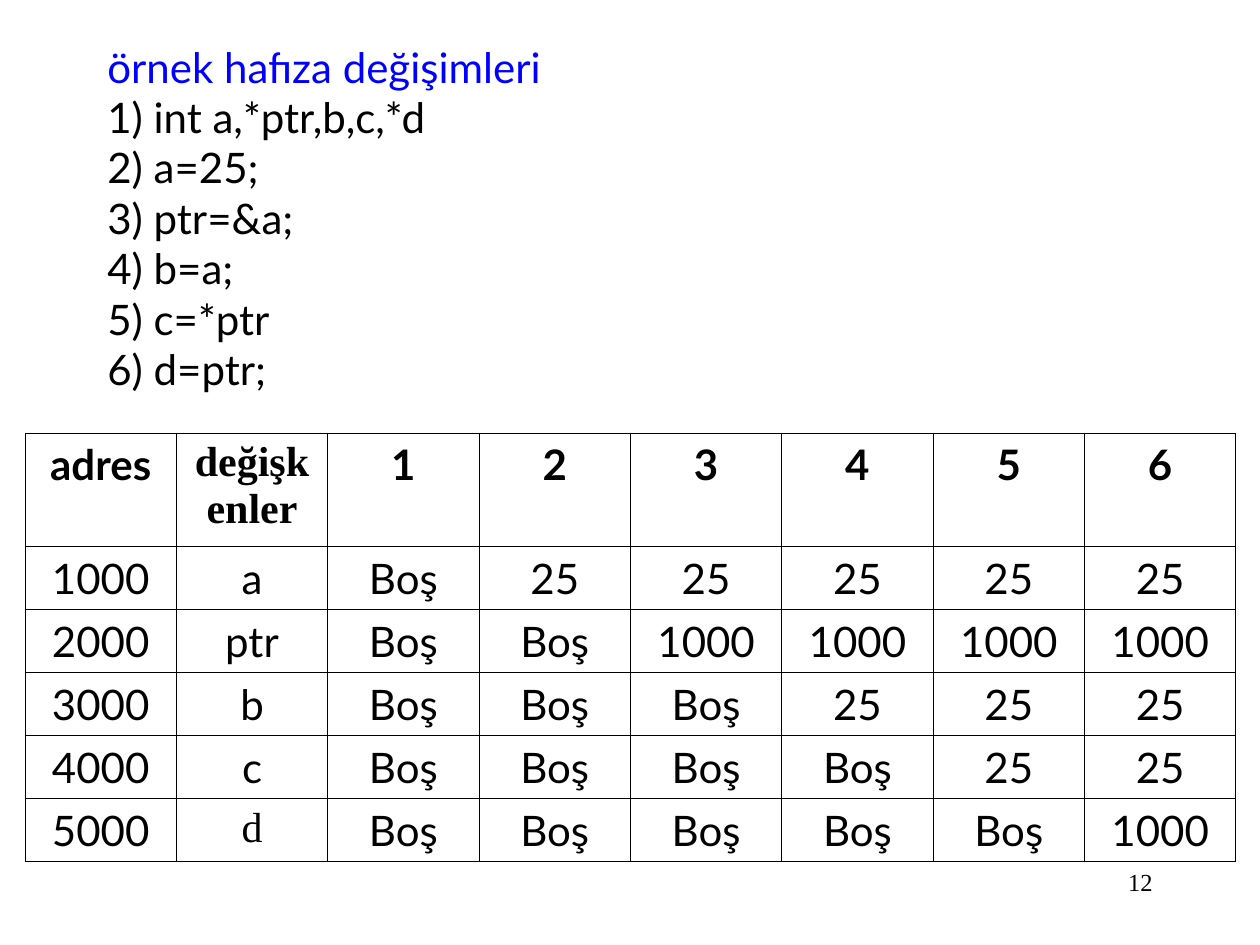
from lxml.etree import SubElement
from pptx import Presentation
from pptx.dml.color import RGBColor as RGB
from pptx.enum.text import MSO_ANCHOR as ANCHOR, PP_ALIGN as ALIGN
from pptx.oxml.ns import qn
from pptx.util import Pt

# Content
HEADING = "örnek hafıza değişimleri"
CODE = ["1) int a,*ptr,b,c,*d", "2) a=25;", "3) ptr=&a;",
        "4) b=a;", "5) c=*ptr", "6) d=ptr;"]
HEADER = ["adres", "değişkenler", "1", "2", "3", "4", "5", "6"]
EMPTY = "Boş"
# address, variable, step of assignment, value from that step on
MEMORY = [("1000", "a", 2, "25"),
          ("2000", "ptr", 3, "1000"),
          ("3000", "b", 4, "25"),
          ("4000", "c", 5, "25"),
          ("5000", "d", 6, "1000")]
PAGE = "12"

# Format
COLORS = {"text": "000000", "heading": "0000FF", "border": "000000"}
SANS, SERIF = "Lato", "Times New Roman"
SERIF_CELLS = {"değişkenler", "d"}
PX = 914400 / 126
CODE_BOX = (95, 35, 595, 416)
PAGE_BOX = (903, 861, 262, 63)
TABLE_BOX = (25, 433, 1211, 428)
HEADER_H, ROW_H = 113, 63


def px(n):
    return round(n * PX)


def write(p, text, font=SANS, size=24, color="text", bold=False, align=ALIGN.LEFT):
    p.alignment = align
    r = p.add_run()
    r.text = text
    r.font.name, r.font.size, r.font.bold = font, Pt(size), bold
    r.font.color.rgb = RGB.from_string(COLORS[color])


def add_box(s, box):
    tf = s.shapes.add_textbox(*map(px, box)).text_frame
    tf.word_wrap = True
    tf.vertical_anchor = ANCHOR.TOP
    return tf


def set_borders(cell):
    tc_pr = cell._tc.get_or_add_tcPr()
    for i, side in enumerate(("a:lnL", "a:lnR", "a:lnT", "a:lnB")):
        ln = SubElement(tc_pr, qn(side), w=str(Pt(0.45)))
        tc_pr.insert(i, ln)
        fill = SubElement(ln, qn("a:solidFill"))
        SubElement(fill, qn("a:srgbClr"), val=COLORS["border"])


prs = Presentation()
prs.slide_width, prs.slide_height = px(1260), px(945)
s = prs.slides.add_slide(prs.slide_layouts[6])

# Page number
write(add_box(s, PAGE_BOX).paragraphs[0], PAGE, font=SERIF, size=14, align=ALIGN.RIGHT)

# Heading and code lines
tf = add_box(s, CODE_BOX)
write(tf.paragraphs[0], HEADING, color="heading")
for line in CODE:
    write(tf.add_paragraph(), line)

# Memory table
steps = range(1, len(CODE) + 1)
rows = [HEADER] + [[address, name] + [value if step >= start else EMPTY for step in steps]
                   for address, name, start, value in MEMORY]
table = s.shapes.add_table(len(rows), len(HEADER), *map(px, TABLE_BOX)).table
table.first_row = table.horz_banding = False
for col in table.columns:
    col.width = px(TABLE_BOX[2] / len(HEADER))
for i, values in enumerate(rows):
    table.rows[i].height = px(ROW_H if i else HEADER_H)
    for j, value in enumerate(values):
        cell = table.cell(i, j)
        cell.fill.background()
        set_borders(cell)
        write(cell.text_frame.paragraphs[0], value, bold=i == 0, align=ALIGN.CENTER,
              font=SERIF if value in SERIF_CELLS else SANS)

prs.save("out.pptx")
